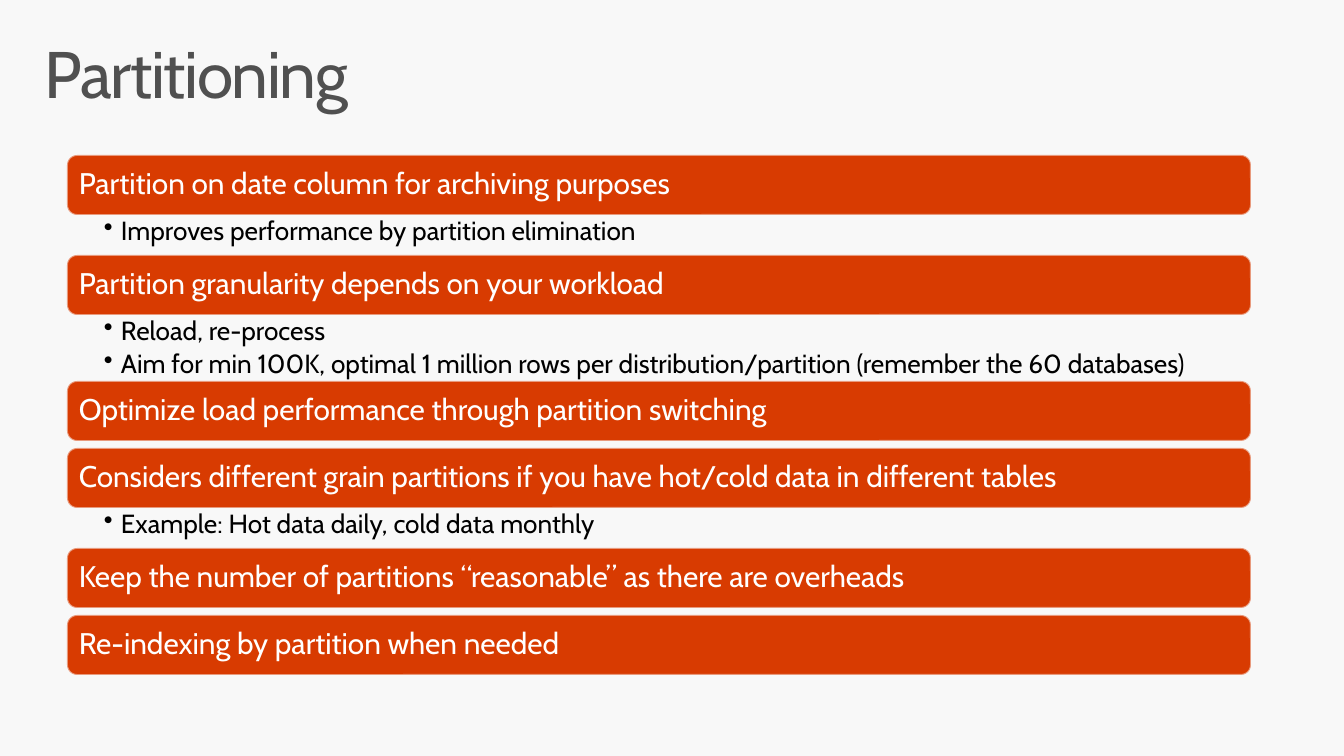
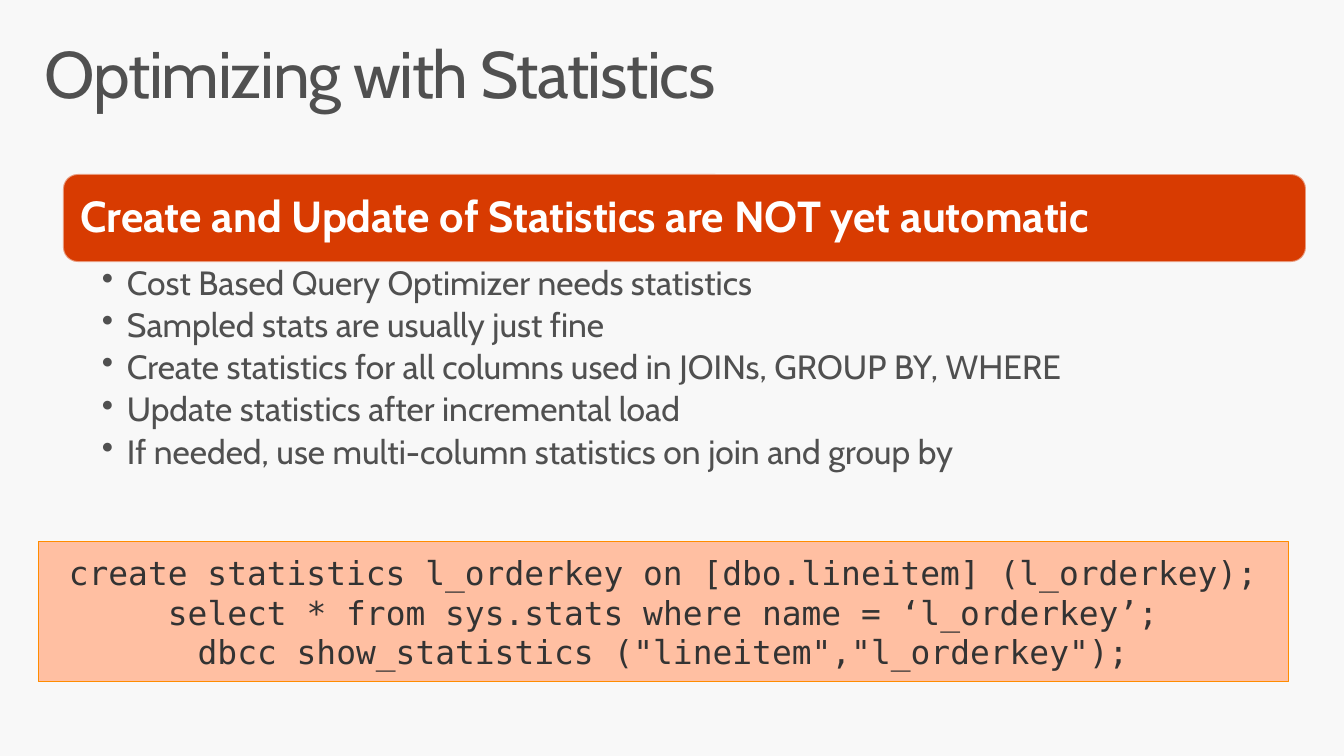
from dataclasses import dataclass

from lxml import etree
from pptx import Presentation
from pptx.dml.color import RGBColor
from pptx.enum.shapes import MSO_SHAPE
from pptx.enum.text import MSO_ANCHOR, PP_ALIGN
from pptx.oxml.ns import qn
from pptx.util import Emu, Pt

EMU_PER_PX = 914400 / 100.8
ROUNDED = MSO_SHAPE.ROUNDED_RECTANGLE
RECTANGLE = MSO_SHAPE.RECTANGLE
TOP = MSO_ANCHOR.TOP
MIDDLE = MSO_ANCHOR.MIDDLE
LEFT = PP_ALIGN.LEFT
CENTER = PP_ALIGN.CENTER

BACKGROUND = "F8F8F8"
GRAY = "505050"
BLACK = "000000"
WHITE = "FFFFFF"
ORANGE = "D83B01"
BAND_EDGE = "F9F9F9"
CODE_FILL = "FFBFA2"
CODE_EDGE = "FF8C00"
CODE_COLOR = "333333"
BODY_FONT = "Cabin"
CODE_FONT = "DejaVu Sans Mono"


@dataclass(frozen=True)
class Box:
    left: int
    top: int
    width: int
    height: int


@dataclass(frozen=True)
class TextStyle:
    size: float
    color: str
    insets: tuple[int, int, int, int]
    font: str = BODY_FONT
    bold: bool = False
    anchor: MSO_ANCHOR = TOP
    align: PP_ALIGN = LEFT
    line_spacing: float = 0.9
    bullet_indent: int = 0
    letter_spacing: int = 0


@dataclass(frozen=True)
class Topic:
    heading: str
    details: tuple[str, ...] = ()


TITLE_BOX = Box(29, 32, 1285, 99)
TITLE_STYLE = TextStyle(47, GRAY, (16, 10, 16, 10), letter_spacing=-100)
TOPIC_STYLE = TextStyle(21.3, WHITE, (9, 0, 9, 0), anchor=MIDDLE)
TOPIC_DETAIL_STYLE = TextStyle(18.7, BLACK, (37, 3, 17, 3), bullet_indent=17)
BANNER_STYLE = TextStyle(31, WHITE, (13, 0, 13, 0), bold=True, anchor=MIDDLE)
ADVICE_STYLE = TextStyle(24, GRAY, (39, 4, 24, 4), bullet_indent=25)
CODE_STYLE = TextStyle(23.5, CODE_COLOR, (0, 5, 0, 5), font=CODE_FONT,
                       anchor=MIDDLE, align=CENTER, line_spacing=1.0)

TOPIC_LEFT, TOPIC_TOP, TOPIC_WIDTH, TOPIC_HEIGHT = 67, 155, 1184, 60
TOPIC_GAP = 7
DETAIL_HEIGHTS = {1: 40, 2: 66}

TOPICS = (
    Topic("Partition on date column for archiving purposes",
          ("Improves performance by partition elimination",)),
    Topic("Partition granularity depends on your workload",
          ("Reload, re-process",
           "Aim for min 100K, optimal 1 million rows per distribution/partition "
           "(remember the 60 databases)")),
    Topic("Optimize load performance through partition switching"),
    Topic("Considers different grain partitions if you have hot/cold data in different tables",
          ("Example: Hot data daily, cold data monthly",)),
    Topic("Keep the number of partitions “reasonable” as there are overheads"),
    Topic("Re-indexing by partition when needed"),
)

STATISTICS_ADVICE = (
    "Cost Based Query Optimizer needs statistics",
    "Sampled stats are usually just fine",
    "Create statistics for all columns used in JOINs, GROUP BY, WHERE",
    "Update statistics after incremental load",
    "If needed, use multi-column statistics on join and group by",
)

STATISTICS_CODE = (
    "create statistics l_orderkey on [dbo.lineitem] (l_orderkey);",
    "select * from sys.stats where name = ‘l_orderkey’;",
    'dbcc show_statistics ("lineitem","l_orderkey");',
)


def px(length: int) -> Emu:
    return Emu(round(length * EMU_PER_PX))


def rgb(color: str) -> RGBColor:
    return RGBColor.from_string(color)


def place(box: Box) -> tuple[Emu, Emu, Emu, Emu]:
    return px(box.left), px(box.top), px(box.width), px(box.height)


def add_bullet(paragraph, indent: int) -> None:
    properties = paragraph._p.get_or_add_pPr()
    properties.set("marL", str(px(indent)))
    properties.set("indent", str(-px(indent)))
    etree.SubElement(properties, qn("a:buChar")).set("char", "•")


def write_text(shape, lines: tuple[str, ...], style: TextStyle) -> None:
    text_frame = shape.text_frame
    text_frame.word_wrap = True
    text_frame.vertical_anchor = style.anchor
    (text_frame.margin_left, text_frame.margin_top,
     text_frame.margin_right, text_frame.margin_bottom) = map(px, style.insets)
    text_frame.text = "\n".join(lines)
    for paragraph in text_frame.paragraphs:
        paragraph.alignment = style.align
        paragraph.line_spacing = style.line_spacing
        if style.bullet_indent:
            add_bullet(paragraph, style.bullet_indent)
            paragraph.space_after = Pt(round(style.size * 0.18, 1))
        for run in paragraph.runs:
            run.font.name = style.font
            run.font.size = Pt(style.size)
            run.font.bold = style.bold
            run.font.color.rgb = rgb(style.color)
            if style.letter_spacing:
                run._r.get_or_add_rPr().set("spc", str(style.letter_spacing))


def add_text(slide, box: Box, lines: tuple[str, ...], style: TextStyle) -> None:
    write_text(slide.shapes.add_textbox(*place(box)), lines, style)


def add_panel(slide, kind: MSO_SHAPE, box: Box, fill: str, edge: str, edge_width: float):
    shape = slide.shapes.add_shape(kind, *place(box))
    shape.shadow.inherit = False
    shape.fill.solid()
    shape.fill.fore_color.rgb = rgb(fill)
    shape.line.color.rgb = rgb(edge)
    shape.line.width = Pt(edge_width)
    return shape


def add_band(slide, box: Box, heading: str, style: TextStyle) -> None:
    band = add_panel(slide, ROUNDED, box, ORANGE, BAND_EDGE, 1.35)
    edge_color = band.line._ln.find(".//" + qn("a:srgbClr"))
    etree.SubElement(edge_color, qn("a:alpha")).set("val", "50000")
    write_text(band, (heading,), style)


def add_titled_slide(presentation, title: str):
    slide = presentation.slides.add_slide(presentation.slide_layouts[6])
    add_text(slide, TITLE_BOX, (title,), TITLE_STYLE)
    return slide


def build_partitioning(presentation) -> None:
    slide = add_titled_slide(presentation, "Partitioning")
    top = TOPIC_TOP
    for topic in TOPICS:
        add_band(slide, Box(TOPIC_LEFT, top, TOPIC_WIDTH, TOPIC_HEIGHT),
                 topic.heading, TOPIC_STYLE)
        top += TOPIC_HEIGHT
        if topic.details:
            height = DETAIL_HEIGHTS[len(topic.details)]
            add_text(slide, Box(TOPIC_LEFT, top, TOPIC_WIDTH, height),
                     topic.details, TOPIC_DETAIL_STYLE)
            top += height
        else:
            top += TOPIC_GAP


def build_statistics(presentation) -> None:
    slide = add_titled_slide(presentation, "Optimizing with Statistics")
    add_band(slide, Box(63, 174, 1243, 88),
             "Create and Update of Statistics are NOT yet automatic", BANNER_STYLE)
    add_text(slide, Box(63, 262, 1243, 248), STATISTICS_ADVICE, ADVICE_STYLE)
    code_panel = add_panel(slide, RECTANGLE, Box(38, 542, 1251, 140),
                           CODE_FILL, CODE_EDGE, 0.75)
    write_text(code_panel, STATISTICS_CODE, CODE_STYLE)


def main() -> None:
    presentation = Presentation()
    presentation.slide_width = px(1344)
    presentation.slide_height = px(756)
    background = presentation.slide_master.background.fill
    background.solid()
    background.fore_color.rgb = rgb(BACKGROUND)
    build_partitioning(presentation)
    build_statistics(presentation)
    presentation.save("out.pptx")


if __name__ == "__main__":
    main()
